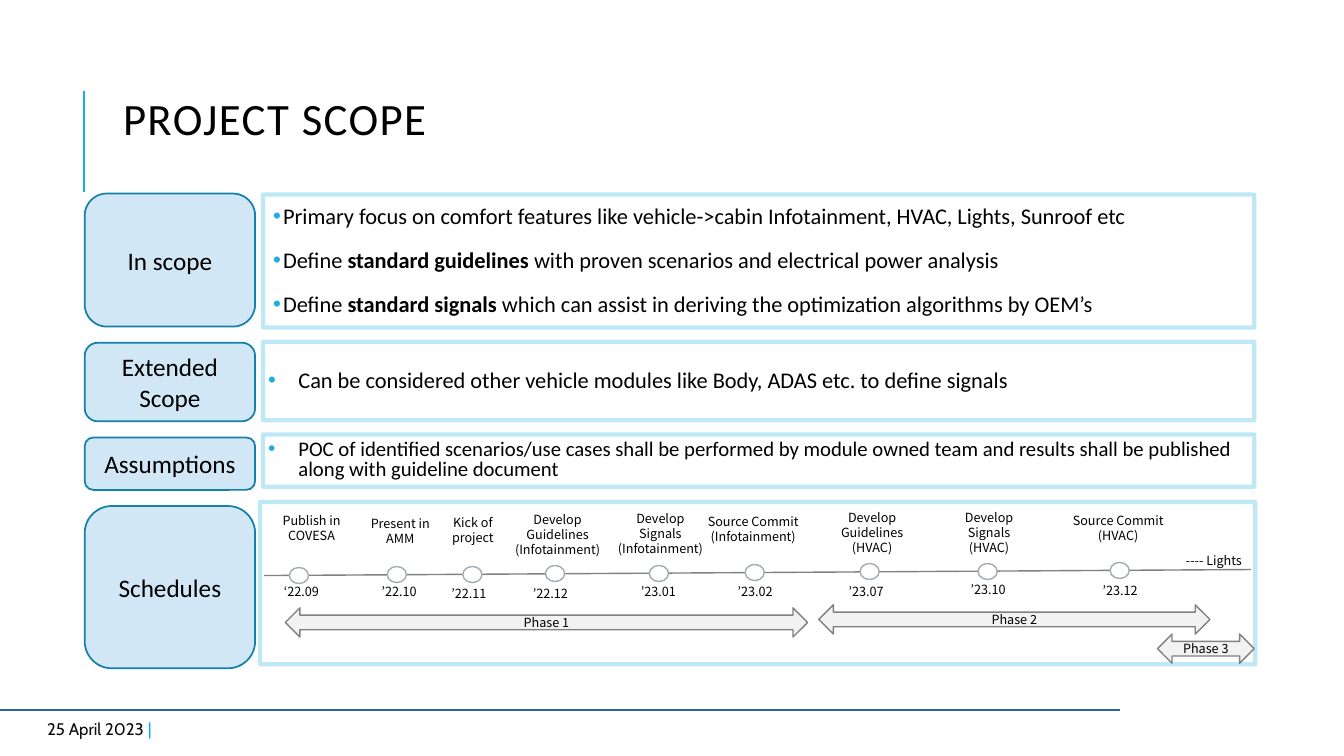
from lxml.etree import SubElement
from pptx import Presentation
from pptx.dml.color import RGBColor
from pptx.enum.shapes import MSO_CONNECTOR, MSO_SHAPE
from pptx.enum.text import MSO_ANCHOR, PP_ALIGN
from pptx.oxml.ns import qn
from pptx.util import Emu, Pt

PX = 9144
BODY_FONT, SCHEDULE_FONT = "Calibri", "Noto Sans CJK KR"
BLACK, ACCENT, GRAY = "000000", "1CADE4", "808080"

TITLE = "PROJECT SCOPE"
DATE = [("25 April 2023 ", "0D0D0D"), ("|", "00B0F0")]
RULES = [(83, 190, 83, 90, ACCENT), (0, 704, 1111, 704, "355EA8")]

PILLS = [("In scope", 192, 132), ("Extended Scope", 340, 78),
         ("Assumptions", 434, 52), ("Schedules", 502, 161)]

PANELS = [
    (193, 132, 10, 10, 16, 0.9, [
        [("Primary focus on comfort features like vehicle->cabin Infotainment, HVAC, Lights, Sunroof etc", False)],
        [("Define ", False), ("standard guidelines ", True),
         ("with proven scenarios and electrical power analysis", False)],
        [("Define ", False), ("standard signals ", True),
         ("which can assist in deriving the optimization algorithms by OEM’s", False)],
    ]),
    (339, 78, 5, 30, 16, 0.9, [
        [("Can be considered other vehicle modules like Body, ADAS etc. to define signals", False)],
    ]),
    (431, 52, 5, 30, 14.8, 0.8, [
        [("POC of identified scenarios/use cases shall be performed by module owned team and results "
          "shall be published along with guideline document", False)],
    ]),
]

AXIS = (262, 571, 1241, 565)
MILESTONES = [
    (297, ["Publish in", "COVESA"], 309, 524, "‘22.09", 299, 586),
    (394, ["Present in", "AMM"], 397, 527, "’22.10", 396, 586),
    (469, ["Kick of", "project"], 469, 526, "’22.11", 465, 588),
    (551, ["Develop", "Guidelines", "(Infotainment)"], 553, 530, "’22.12", 546, 588),
    (654, ["Develop", "Signals", "(Infotainment)"], 655, 529, "’23.01", 653, 586),
    (749, ["Source Commit", "(Infotainment)"], 747, 525, "’23.02", 749, 586),
    (863, ["Develop", "Guidelines", "(HVAC)"], 865, 528, "’23.07", 859, 586),
    (980, ["Develop", "Signals", "(HVAC)"], 981, 528, "’23.10", 980, 584),
    (1111, ["Source Commit", "(HVAC)"], 1109, 524, "’23.12", 1111, 585),
]
PHASES = [("Phase 1", 283, 603, 518), ("Phase 2", 812, 600, 388), ("Phase 3", 1148, 629, 96)]


def px(*lengths):
    """Turn px into EMU."""
    return [Emu(length * PX) for length in lengths]


def color(value):
    """Turn a hex string into a colour."""
    return RGBColor.from_string(value)


def set_font(font, name, size, value=BLACK):
    """Set face, size and colour."""
    font.name, font.size, font.color.rgb = name, Pt(size), color(value)


def set_frame(shape, inset_x=10, inset_y=5, anchor=MSO_ANCHOR.MIDDLE):
    """Set wrapping, insets and anchor, and return the text frame."""
    frame = shape.text_frame
    frame.word_wrap, frame.vertical_anchor = True, anchor
    frame.margin_left, frame.margin_right = px(inset_x, inset_x)
    frame.margin_top, frame.margin_bottom = px(inset_y, inset_y)
    return frame


def add_line(slide, x1, y1, x2, y2, value, width=1.5):
    """Draw a straight line without shadow."""
    line = slide.shapes.add_connector(MSO_CONNECTOR.STRAIGHT, *px(x1, y1, x2, y2))
    line.line.color.rgb, line.line.width = color(value), Pt(width)
    SubElement(line._element.spPr, qn("a:effectLst"))


def add_box(slide, kind, box, fill, line, width):
    """Draw a preset shape."""
    shape = slide.shapes.add_shape(kind, *px(*box))
    shape.shadow.inherit = False
    if fill:
        shape.fill.solid()
        shape.fill.fore_color.rgb = color(fill)
    else:
        shape.fill.background()
    shape.line.color.rgb, shape.line.width = color(line), Pt(width)
    return shape


def add_panel(slide, box):
    """Draw an unfilled panel with a pale outline."""
    panel = add_box(slide, MSO_SHAPE.RECTANGLE, box, None, ACCENT, 3)
    outline = panel.line._ln.find(".//" + qn("a:srgbClr"))
    SubElement(outline, qn("a:alpha"), val="27000")
    return panel


def write_lines(frame, lines, font, size):
    """Write centred paragraphs."""
    for index, text in enumerate(lines):
        paragraph = frame.add_paragraph() if index else frame.paragraphs[0]
        paragraph.text, paragraph.alignment = text, PP_ALIGN.CENTER
        set_font(paragraph.font, font, size)


def add_label(slide, lines, center_x, center_y, width=130, height=32):
    """Write small centred text around a point."""
    box = px(center_x - width // 2, center_y - height // 2, width, height)
    frame = set_frame(slide.shapes.add_textbox(*box), 4)
    write_lines(frame, lines, SCHEDULE_FONT, 9)


def write_bullets(frame, bullets, indent, size, spacing):
    """Write bulleted paragraphs with mixed weights."""
    for index, runs in enumerate(bullets):
        paragraph = frame.add_paragraph() if index else frame.paragraphs[0]
        paragraph.alignment, paragraph.line_spacing = PP_ALIGN.LEFT, spacing
        paragraph.space_before, paragraph.space_after = Pt(12 if index else 0), Pt(2)
        properties = paragraph._p.get_or_add_pPr()
        properties.set("marL", str(indent * PX))
        properties.set("indent", str(-indent * PX))
        SubElement(SubElement(properties, qn("a:buClr")), qn("a:srgbClr"), val=ACCENT)
        SubElement(properties, qn("a:buFont"), typeface="Arial")
        SubElement(properties, qn("a:buChar"), char="•")
        set_font(paragraph.font, BODY_FONT, size)
        for text, bold in runs:
            run = paragraph.add_run()
            run.text, run.font.bold = text, bold


def add_title(slide):
    """Place and format the title placeholder."""
    title = slide.shapes.title
    title.left, title.top, title.width, title.height = px(112, 95, 1063, 98)
    frame = set_frame(title, anchor=MSO_ANCHOR.TOP)
    frame.text = TITLE
    paragraph = frame.paragraphs[0]
    paragraph.alignment, paragraph.line_spacing = PP_ALIGN.LEFT, 0.8
    set_font(paragraph.font, BODY_FONT, 32)
    paragraph.runs[0].font._element.set("spc", "100")


def add_date(slide):
    """Write the footer date."""
    paragraph = set_frame(slide.shapes.add_textbox(*px(37, 703, 176, 40))).paragraphs[0]
    for text, value in DATE:
        run = paragraph.add_run()
        run.text = text
        set_font(run.font, "Cabin", 12, value)


def add_schedule(slide):
    """Draw the timeline, its milestones and the phase arrows."""
    add_panel(slide, (258, 498, 987, 161))
    add_line(slide, *AXIS, GRAY, 1)
    x1, y1, x2, y2 = AXIS
    for x, lines, label_x, label_y, date, date_x, date_y in MILESTONES:
        y = round(y1 + (y2 - y1) * (x - x1) / (x2 - x1))
        add_box(slide, MSO_SHAPE.OVAL, (x - 10, y - 8, 19, 16), "FFFFFF", "A1ACB2", 1)
        add_label(slide, lines, label_x, label_y)
        add_label(slide, [date], date_x, date_y, 66, 23)
    for name, left, top, width in PHASES:
        arrow = add_box(slide, MSO_SHAPE.LEFT_RIGHT_ARROW, (left, top, width, 29), "F2F2F2", GRAY, 1)
        write_lines(set_frame(arrow, 0, 0), [name], SCHEDULE_FONT, 9)
    add_label(slide, ["---- Lights"], 1204, 556)


def main():
    """Build the slide."""
    presentation = Presentation()
    presentation.slide_width, presentation.slide_height = px(1333, 750)
    slide = presentation.slides.add_slide(presentation.slide_layouts[5])
    for rule in RULES:
        add_line(slide, *rule)
    add_date(slide)
    add_title(slide)
    for top, height, inset, indent, size, spacing, bullets in PANELS:
        panel = add_panel(slide, (261, top, 983, height))
        write_bullets(set_frame(panel, inset), bullets, indent, size, spacing)
    add_schedule(slide)
    for name, top, height in PILLS:
        pill = add_box(slide, MSO_SHAPE.ROUNDED_RECTANGLE, (84, top, 169, height), "D1E7F6", "1580A9", 1.25)
        write_lines(set_frame(pill), [name], BODY_FONT, 18)
    presentation.save("out.pptx")


if __name__ == "__main__":
    main()
